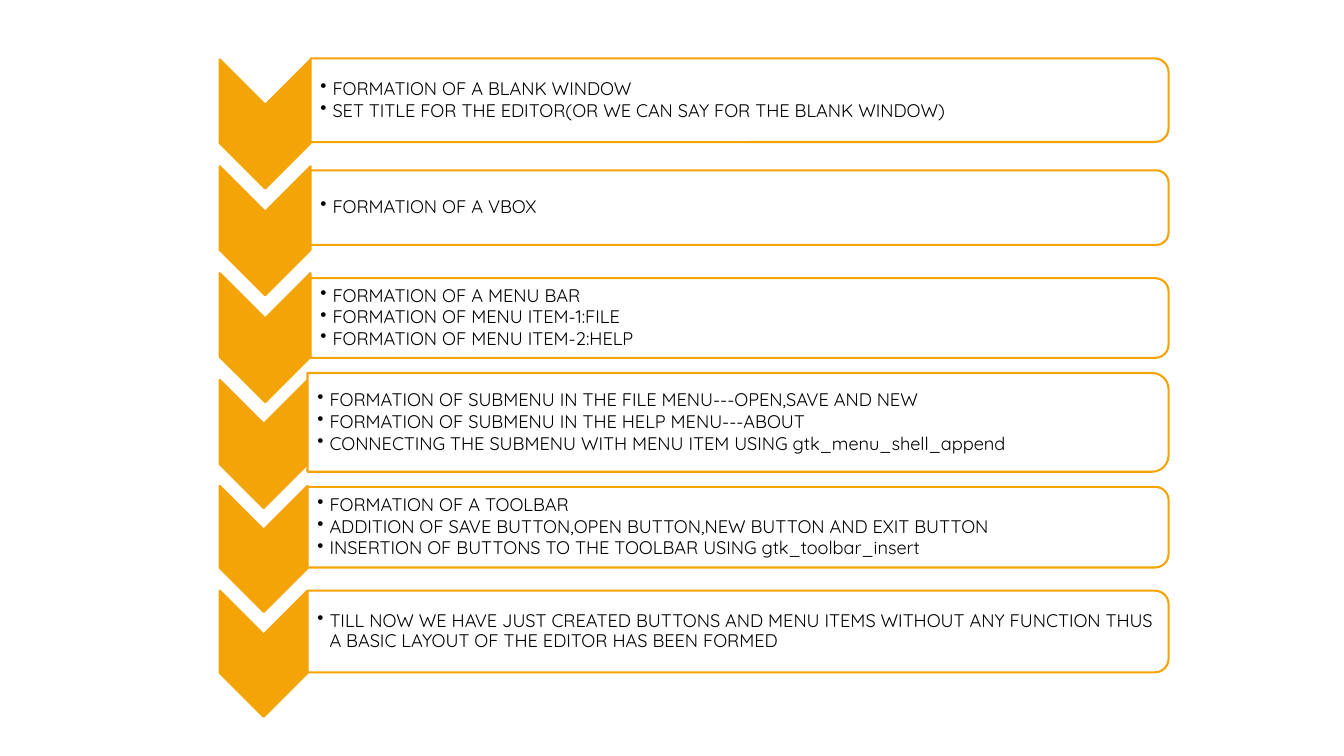
from lxml import etree
from pptx import Presentation
from pptx.dml.color import RGBColor
from pptx.enum.shapes import MSO_SHAPE
from pptx.enum.text import MSO_ANCHOR
from pptx.oxml.ns import qn
from pptx.util import Emu, Pt

CHEVRON = MSO_SHAPE.CHEVRON
ROUND_TOP = MSO_SHAPE.ROUND_2_SAME_RECTANGLE
MIDDLE = MSO_ANCHOR.MIDDLE

ORANGE = RGBColor(0xF5, 0xA4, 0x08)
WHITE = RGBColor(0xFF, 0xFF, 0xFF)
BLACK = RGBColor(0x00, 0x00, 0x00)
FONT = "Quicksand"

PX = 9144  # EMU per px, 100 px to the inch
CHEVRON_LEFT = 218
PANEL_RIGHT = 1159
INSET = 4  # gap between panel edge and its text
INDENT = 12

# chevron (top, width, height), panel (top, height), bullet lines
STEPS = [
    ((59, 90, 128), (58, 83), [
        "FORMATION OF A BLANK WINDOW",
        "SET TITLE FOR THE EDITOR(OR WE CAN SAY FOR THE BLANK WINDOW)"]),
    ((165, 90, 128), (169, 74), ["FORMATION OF A VBOX"]),
    ((271, 90, 128), (276, 79), [
        "FORMATION OF A MENU BAR",
        "FORMATION OF MENU ITEM-1:FILE",
        "FORMATION OF MENU ITEM-2:HELP"]),
    ((377, 87, 127), (370, 98), [
        "FORMATION OF SUBMENU IN THE FILE MENU---OPEN,SAVE AND NEW",
        "FORMATION OF SUBMENU IN THE HELP MENU---ABOUT",
        "CONNECTING THE SUBMENU WITH MENU ITEM USING gtk_menu_shell_append"]),
    ((482, 87, 125), (483, 80), [
        "FORMATION OF A TOOLBAR",
        "ADDITION OF SAVE BUTTON,OPEN BUTTON,NEW BUTTON AND EXIT BUTTON",
        "INSERTION OF BUTTONS TO THE TOOLBAR USING gtk_toolbar_insert"]),
    ((586, 87, 125), (586, 81), [
        "TILL NOW WE HAVE JUST CREATED BUTTONS AND MENU ITEMS WITHOUT ANY "
        "FUNCTION THUS A BASIC LAYOUT OF THE EDITOR HAS BEEN FORMED"]),
]


def px(n):
    return Emu(round(n * PX))


def add_turned(s, kind, x, y, w, h, fill, opacity=100):
    """Add a shape turned by 90 degrees that covers the box x, y, w, h."""
    shift = (w - h) / 2
    sp = s.shapes.add_shape(kind, px(x + shift), px(y - shift), px(h), px(w))
    sp.rotation = 90
    sp.shadow.inherit = False
    sp.fill.solid()
    sp.fill.fore_color.rgb = fill
    sp.line.color.rgb = ORANGE
    sp.line.width = Pt(1.5)
    if opacity < 100:
        color = sp._element.spPr.find(qn("a:solidFill"))[0]
        etree.SubElement(color, qn("a:alpha"), val=str(opacity * 1000))
    return sp


def set_bullet(p, char="•"):
    pPr = p._p.get_or_add_pPr()
    pPr.set("marL", str(px(INDENT)))
    pPr.set("indent", str(-px(INDENT)))
    etree.SubElement(pPr, qn("a:buChar"), char=char)


def add_bullets(s, lines, x, y, w, h, size=13, color=BLACK, font=FONT):
    tf = s.shapes.add_textbox(px(x), px(y), px(w), px(h)).text_frame
    tf.word_wrap = True
    tf.vertical_anchor = MIDDLE
    tf.margin_left = px(10)
    tf.margin_right = tf.margin_top = tf.margin_bottom = px(1)
    for i, line in enumerate(lines):
        p = tf.add_paragraph() if i else tf.paragraphs[0]
        p.line_spacing = 0.9
        p.space_after = Pt(1.5)
        set_bullet(p)
        r = p.add_run()
        r.text = line
        r.font.size = Pt(size)
        r.font.name = font
        r.font.color.rgb = color


def add_step(s, chevron, panel, lines):
    # Arrow on the left
    top, width, height = chevron
    add_turned(s, CHEVRON, CHEVRON_LEFT, top, width, height, ORANGE)

    # Panel with its bullets, starting at the arrow's right edge
    x = CHEVRON_LEFT + width
    y, h = panel
    w = PANEL_RIGHT - x
    add_turned(s, ROUND_TOP, x, y, w, h, WHITE, opacity=90)
    add_bullets(s, lines, x, y + INSET, w - INSET, h - 2 * INSET)


def main():
    prs = Presentation()
    prs.slide_width = px(1333)
    prs.slide_height = px(750)
    s = prs.slides.add_slide(prs.slide_layouts[6])
    for chevron, panel, lines in STEPS:
        add_step(s, chevron, panel, lines)
    prs.save("out.pptx")


if __name__ == "__main__":
    main()
